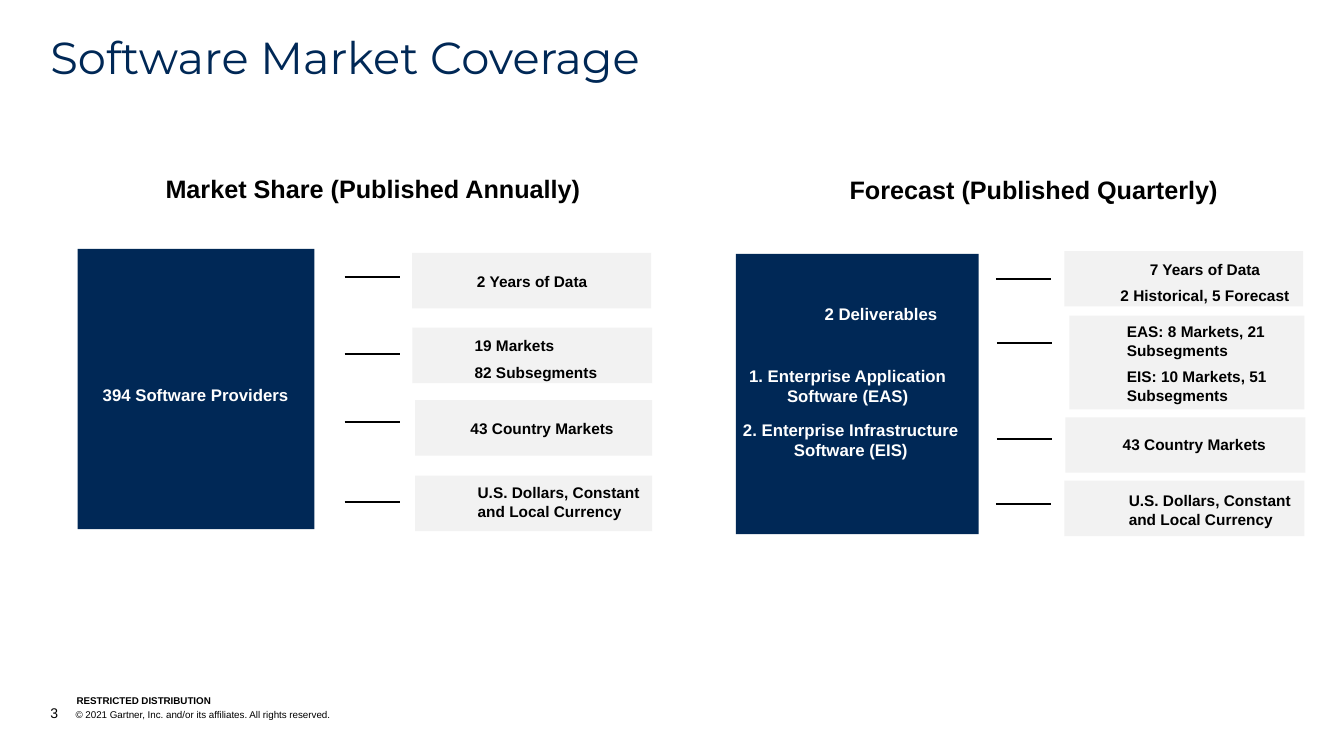
from pptx import Presentation
from pptx.dml.color import RGBColor
from pptx.enum import shapes, text
from pptx.oxml.ns import qn
from pptx.util import Pt
from lxml import etree

COLOURS = {"navy": "002856", "panel": "F2F2F2", "ink": "000000", "white": "FFFFFF"}
LEFT, CENTER = text.PP_ALIGN.LEFT, text.PP_ALIGN.CENTER
TOP, MIDDLE, BOTTOM = (text.MSO_ANCHOR.TOP, text.MSO_ANCHOR.MIDDLE,
                       text.MSO_ANCHOR.BOTTOM)
PANEL_HEIGHT, LABEL_HEIGHT, CONNECTOR_LENGTH = 39.6, 40.3, 39.6

# Each row: panel place, label place, alignment, label lines, connector start
MARKET_SHARE_ROWS = [
    ((294.5, 180.7, 170.6, PANEL_HEIGHT), (304.6, 180.7, 151.2, LABEL_HEIGHT),
     CENTER, ["2 Years of Data"], (246.2, 198)),
    ((294.5, 234, 171.4, PANEL_HEIGHT), (331.9, 236.2, 151.2, LABEL_HEIGHT),
     LEFT, ["19 Markets", "82 Subsegments"], (246.2, 252.7)),
    ((296.6, 285.8, 169.2, PANEL_HEIGHT), (329, 285.8, 151.2, LABEL_HEIGHT),
     LEFT, ["43 Country Markets"], (246.2, 301.7)),
    ((296.6, 339.8, 169.2, PANEL_HEIGHT), (334.1, 338.4, 151.2, LABEL_HEIGHT),
     LEFT, ["U.S. Dollars, Constant and Local Currency"], (246.2, 358.6)),
]
FORECAST_ROWS = [
    ((760.3, 179.3, 170.6, PANEL_HEIGHT), (770.4, 181.4, 180.7, LABEL_HEIGHT),
     CENTER, ["7 Years of Data", "2 Historical, 5 Forecast"], (711.4, 199.4)),
    ((763.9, 225.4, 167.8, 67), (797.8, 226.8, 151.2, 65.5),
     LEFT, ["EAS: 8 Markets, 21 Subsegments", "EIS: 10 Markets, 51 Subsegments"],
     (712.1, 244.8)),
    ((761, 298.1, 171.4, PANEL_HEIGHT), (794.9, 297.4, 151.2, LABEL_HEIGHT),
     LEFT, ["43 Country Markets"], (712.1, 313.9)),
    ((760.3, 343.4, 171.4, PANEL_HEIGHT), (799.2, 344.2, 151.2, LABEL_HEIGHT),
     LEFT, ["U.S. Dollars, Constant and Local Currency"], (711.4, 360)),
]
PROVIDERS = [((46.8, 262.1), "394 Software Providers")]
DELIVERABLES = [
    ((536.4, 203.8), "2 Deliverables"),
    ((512.6, 255.6), "1. Enterprise Application Software (EAS)"),
    ((514.8, 293.8), "2. Enterprise Infrastructure Software (EIS)"),
]


def rgb(name):
    return RGBColor.from_string(COLOURS[name])


def add_block(slide, place, colour):
    block = slide.shapes.add_shape(shapes.MSO_SHAPE.RECTANGLE, *map(Pt, place))
    block.shadow.inherit = False
    block.fill.solid()
    block.fill.fore_color.rgb = rgb(colour)
    block.line.fill.background()


def add_text(slide, place, lines, size, colour="ink", bold=True, align=LEFT,
             anchor=TOP, inset=0, font="Arial"):
    box = slide.shapes.add_textbox(*map(Pt, place))
    frame = box.text_frame
    frame.word_wrap = True
    frame.vertical_anchor = anchor
    frame.margin_left = frame.margin_right = Pt(inset)
    frame.margin_top = frame.margin_bottom = Pt(inset)
    frame.text = "\n".join(lines)
    for index, para in enumerate(frame.paragraphs):
        para.alignment = align
        if index:
            para.space_before = Pt(5.5)
        for span in para.runs:
            span.font.name = font
            span.font.size = Pt(size)
            span.font.bold = bold
            span.font.color.rgb = rgb(colour)
    return frame.paragraphs[0]


def add_line(slide, left, top):
    line = slide.shapes.add_connector(
        shapes.MSO_CONNECTOR.STRAIGHT,
        Pt(left), Pt(top), Pt(left + CONNECTOR_LENGTH), Pt(top))
    line.line.color.rgb = rgb("ink")
    line.line.width = Pt(1.5)
    etree.SubElement(line._element.spPr, qn("a:effectLst"))


def add_section(slide, heading, heading_place, block_place, captions, rows):
    """Draw a heading, its navy block and the rows of facts beside it."""
    add_text(slide, heading_place, [heading], 18, align=CENTER)
    add_block(slide, block_place, "navy")
    for (left, top), caption in captions:
        add_text(slide, (left, top, 185.8, LABEL_HEIGHT), [caption], 12, "white",
                 align=CENTER, anchor=MIDDLE, inset=7.2)
    for panel_place, label_place, align, lines, start in rows:
        add_block(slide, panel_place, "panel")
        add_text(slide, label_place, lines, 11, align=align, anchor=MIDDLE, inset=7.2)
        add_line(slide, *start)


def add_footer(slide):
    para = add_text(
        slide, (36, 503.3, 575.3, 12.2),
        ["3\t© 2021 Gartner, Inc. and/or its affiliates. All rights reserved."],
        7, bold=False, anchor=BOTTOM)
    properties = para._p.get_or_add_pPr()
    properties.set("marL", str(Pt(18)))
    properties.set("indent", str(-Pt(18)))
    notice = para.runs[0]
    number, notice.text = notice.text.split("\t")
    notice.text = "\t" + notice.text
    page_number = para.add_run()
    page_number.text = number
    page_number.font.name = "Arial"
    page_number.font.size = Pt(10)
    page_number.font.color.rgb = rgb("ink")
    notice._r.addprevious(page_number._r)
    add_text(slide, (54.7, 496.1, 182.2, 8.6), ["RESTRICTED DISTRIBUTION"], 7,
             anchor=BOTTOM)


def main():
    deck = Presentation()
    deck.slide_width, deck.slide_height = Pt(960), Pt(540)
    slide = deck.slides.add_slide(deck.slide_layouts[6])
    title = add_text(slide, (36, 25.2, 887.8, 34.6), ["Software Market Coverage"],
                     32, "navy", bold=False, font="Montserrat")
    title.line_spacing = 0.9
    add_section(slide, "Market Share (Published Annually)", (117.4, 123.8, 298.1, 21.6),
                (55.4, 177.8, 169.2, 200.2), PROVIDERS, MARKET_SHARE_ROWS)
    add_section(slide, "Forecast (Published Quarterly)", (605.5, 124.6, 265.7, 21.6),
                (525.6, 181.4, 173.5, 200.2), DELIVERABLES, FORECAST_ROWS)
    add_footer(slide)
    deck.save("out.pptx")


if __name__ == "__main__":
    main()
